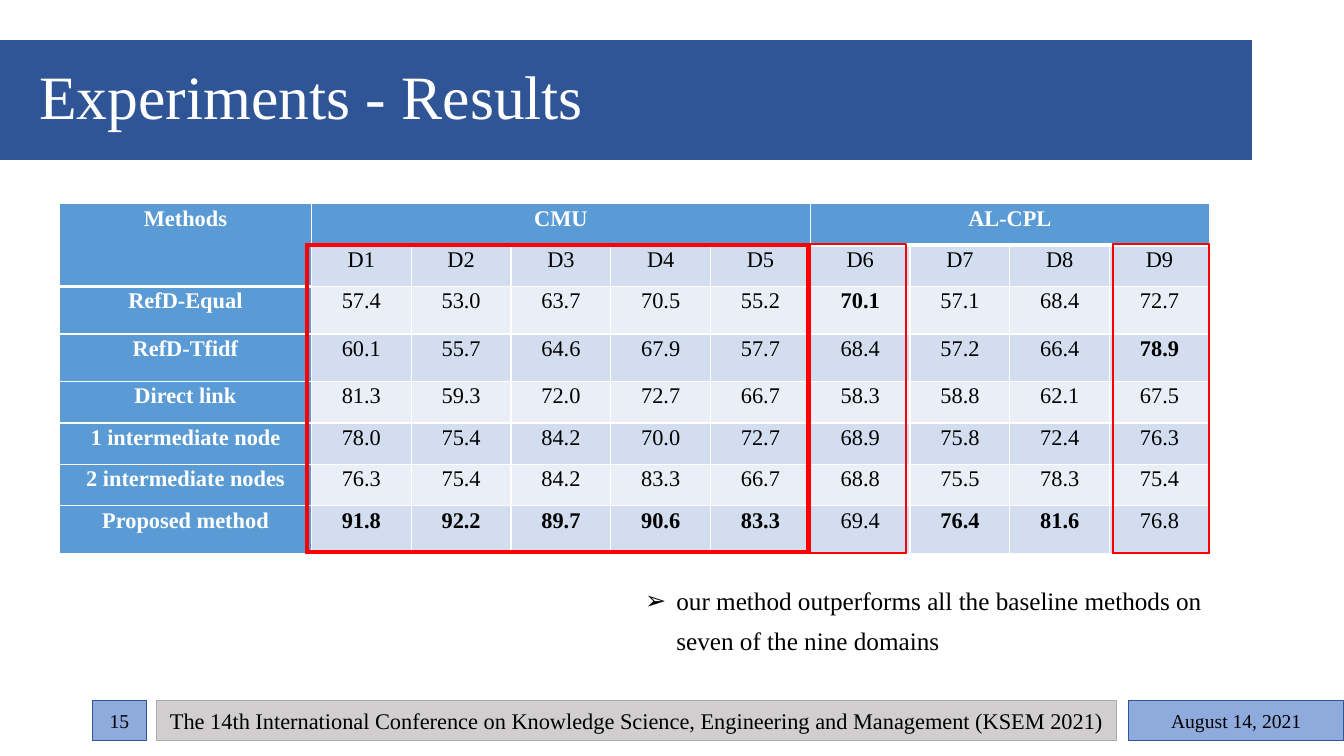
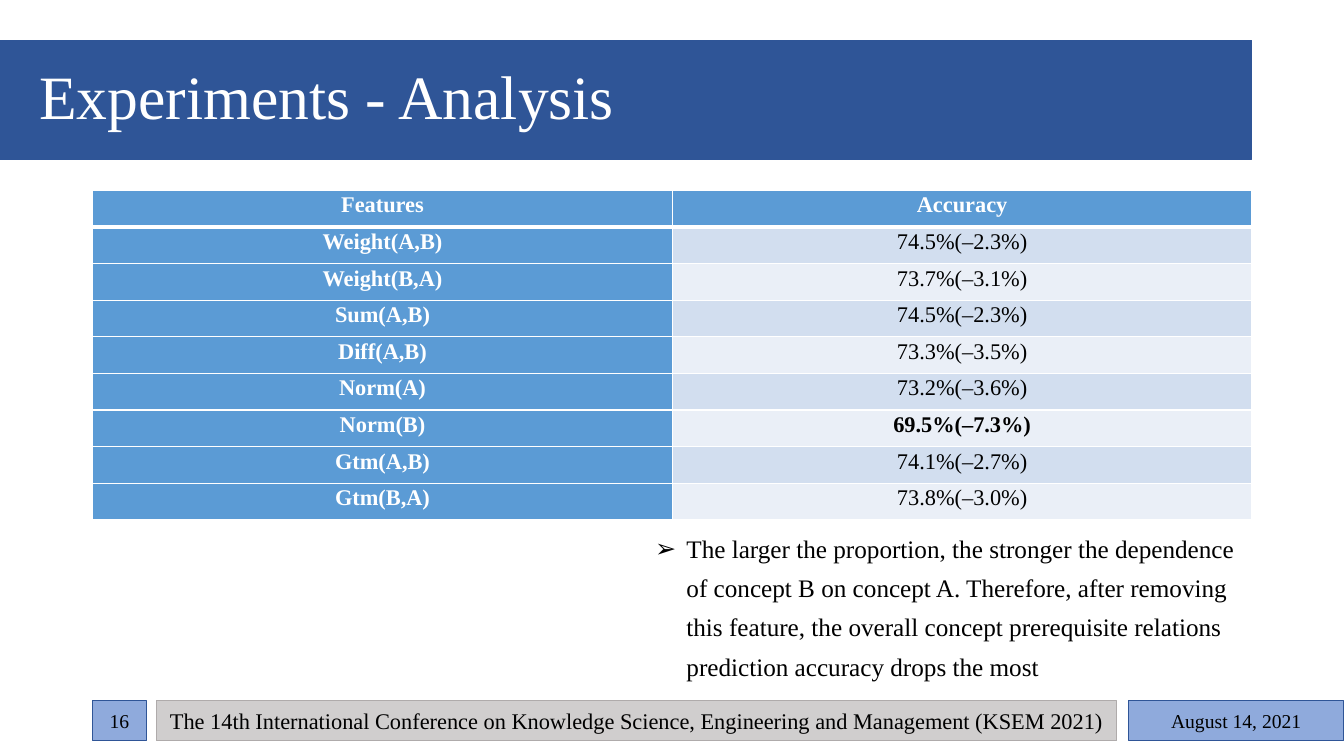
from lxml import etree
from pptx import Presentation
from pptx import util as u
from pptx.dml.color import RGBColor
from pptx.enum import shapes, text
from pptx.oxml import ns

PX = 9144
FONT = "Times New Roman"
NAVY, SKY, GREY, GREY_EDGE = "2F5597", "8FAADC", "D0CECE", "AFABAB"
HEAD, BANDS = "5B9BD5", ("EAEFF7", "D2DEEF")
RED, WHITE, BLACK = "FF0000", "FFFFFF", "000000"
LEFT, CENTER = text.PP_ALIGN.LEFT, text.PP_ALIGN.CENTER


def color(value):
    """Turn a hex string into a colour."""
    return RGBColor.from_string(value)


def px(*lengths):
    """Turn pixel lengths into EMU."""
    return [u.Emu(round(length * PX)) for length in lengths]


def add_node(parent, tag, **attributes):
    """Append an XML element in the drawing namespace."""
    return etree.SubElement(parent, ns.qn(tag), attributes)


class SlideBuilder:
    """Holds the deck style and the current slide."""

    def __init__(self):
        """Start a widescreen deck."""
        self.deck = Presentation()
        self.deck.slide_width, self.deck.slide_height = px(1333.33, 750)

    def new_slide(self, title, number):
        """Add a slide with its title band and footer."""
        self.slide = self.deck.slides.add_slide(self.deck.slide_layouts[1])
        band = self.slide.shapes.title
        self.place(band, 0, 40, 1242, 118)
        self.paint(band, NAVY, NAVY)
        band.text_frame.vertical_anchor = text.MSO_ANCHOR.MIDDLE
        para = self.add_text(band.text_frame, title, 44, WHITE, LEFT, 0.9)
        para._p.get_or_add_pPr().set("marL", str(px(29)[0]))
        self.footer(1120, 213, "August 14, 2021", 14, SKY, NAVY)
        self.footer(155, 953, "The 14th International Conference on Knowledge Science, "
                    "Engineering and Management (KSEM 2021)", 16, GREY, GREY_EDGE)
        self.footer(92, 53, str(number), 14, SKY, NAVY)

    def place(self, shape, *box):
        """Move and size a shape."""
        shape.left, shape.top, shape.width, shape.height = px(*box)

    def paint(self, shape, fill, line, width=0.75):
        """Set the fill and outline of a shape."""
        shape.fill.solid()
        shape.fill.fore_color.rgb = color(fill)
        shape.line.color.rgb = color(line)
        shape.line.width = u.Pt(width)

    def add_text(self, frame, words, size, ink, align, spacing=1.0, bold=False):
        """Put one styled paragraph into a text frame."""
        para = frame.paragraphs[0]
        para.alignment, para.line_spacing = align, spacing
        para.space_before = u.Pt(0)
        span = para.add_run()
        span.text = words
        span.font.name, span.font.size, span.font.bold = FONT, u.Pt(size), bold
        span.font.color.rgb = color(ink)
        return para

    def footer(self, left, width, words, size, fill, line):
        """Add one box of the footer strip."""
        box = self.slide.shapes.add_shape(shapes.MSO_SHAPE.RECTANGLE, *px(left, 695, width, 40))
        box.shadow.inherit = False
        self.paint(box, fill, line)
        box.text_frame.word_wrap = True
        box.text_frame.vertical_anchor = text.MSO_ANCHOR.MIDDLE
        self.add_text(box.text_frame, words, size, BLACK, CENTER)

    def frame(self, left, width):
        """Add a red frame around table columns."""
        box = self.slide.shapes.add_shape(shapes.MSO_SHAPE.FRAME, *px(left, 242, width, 307))
        box.shadow.inherit = False
        box.adjustments[0] = 0.009
        self.paint(box, RED, RED, 1)

    def note(self, words, *box):
        """Fill the body placeholder with one arrow bullet."""
        body = self.slide.placeholders[1]
        self.place(body, *box)
        body.text_frame.auto_size = text.MSO_AUTO_SIZE.NONE
        para = self.add_text(body.text_frame, words, 18, BLACK, LEFT, 1.3)
        properties = para._p.get_or_add_pPr()
        indent = px(31)[0]
        properties.set("marL", str(indent))
        properties.set("indent", str(-indent))
        add_node(properties, "a:buFont", typeface="Arial")
        add_node(properties, "a:buChar", char="➢")

    def table(self, box, rows, widths, heights, best, merges=(), headers=1):
        """Add a banded table with the best value of each column in bold."""
        grid = self.slide.shapes.add_table(len(rows), len(widths), *px(*box)).table
        grid.horz_banding = False
        for column, width in zip(grid.columns, widths):
            column.width = px(width * box[2] / sum(widths))[0]
        for line, height in zip(grid.rows, heights):
            line.height = px(height * box[3] / sum(heights))[0]
        for first, last in merges:
            grid.cell(*first).merge(grid.cell(*last))
        winners = [best(values) for values in zip(*rows[headers:])]
        for r, row in enumerate(rows):
            for c, words in enumerate(row):
                self.cell(grid, r, c, words, r >= headers and words == winners[c])

    def cell(self, grid, r, c, words, winner):
        """Style and fill one table cell."""
        cell = grid.cell(r, c)
        heading = r == 0 or c == 0
        cell.margin_left, cell.margin_top, cell.margin_right, cell.margin_bottom = px(7, 0, 7, 0)
        cell.fill.solid()
        cell.fill.fore_color.rgb = color(HEAD if heading else BANDS[r % 2])
        top = grid.cell(0, c)
        depth = top.span_height if top.is_merge_origin else 1
        widths = {"L": 1, "R": 1, "T": 3 if r == depth else 1, "B": 3 if r < depth else 1}
        properties = cell._tc.get_or_add_tcPr()
        for position, (side, width) in enumerate(widths.items()):
            edge = add_node(properties, f"a:ln{side}", w=str(u.Pt(width)))
            add_node(add_node(edge, "a:solidFill"), "a:srgbClr", val=WHITE)
            properties.insert(position, edge)
        if words:
            self.add_text(cell.text_frame, words, 16, WHITE if heading else BLACK,
                          CENTER, 1.1, heading or winner)


def results(builder):
    """Build the results slide."""
    builder.new_slide("Experiments - Results", 15)
    scores = """RefD-Equal|57.4|53.0|63.7|70.5|55.2|70.1|57.1|68.4|72.7
RefD-Tfidf|60.1|55.7|64.6|67.9|57.7|68.4|57.2|66.4|78.9
Direct link|81.3|59.3|72.0|72.7|66.7|58.3|58.8|62.1|67.5
1 intermediate node|78.0|75.4|84.2|70.0|72.7|68.9|75.8|72.4|76.3
2 intermediate nodes|76.3|75.4|84.2|83.3|66.7|68.8|75.5|78.3|75.4
Proposed method|91.8|92.2|89.7|90.6|83.3|69.4|76.4|81.6|76.8"""
    rows = [["Methods", "CMU", "", "", "", "", "AL-CPL", "", "", ""],
            [""] + [f"D{domain}" for domain in range(1, 10)]]
    rows += [line.split("|") for line in scores.splitlines()]
    builder.table((59, 202, 1141, 347), rows, [250] + [99] * 9,
                  [41, 41, 47, 47, 41, 41, 41, 47], max,
                  [((0, 0), (1, 0)), ((0, 1), (0, 5)), ((0, 6), (0, 9))], 2)
    for left, width in ((303, 500), (803, 96), (1104, 96)):
        builder.frame(left, width)
    builder.note("our method outperforms all the baseline methods on seven of the nine domains",
                 630, 567, 602, 85)


def analysis(builder):
    """Build the analysis slide."""
    builder.new_slide("Experiments - Analysis", 16)
    rows = [("Features", "Accuracy"),
            ("Weight(A,B)", "74.5%(–2.3%)"),
            ("Weight(B,A)", "73.7%(–3.1%)"),
            ("Sum(A,B)", "74.5%(–2.3%)"),
            ("Diff(A,B)", "73.3%(–3.5%)"),
            ("Norm(A)", "73.2%(–3.6%)"),
            ("Norm(B)", "69.5%(–7.3%)"),
            ("Gtm(A,B)", "74.1%(–2.7%)"),
            ("Gtm(B,A)", "73.8%(–3.0%)")]
    builder.table((92, 189, 1150, 327), rows, [1, 1], [1] * len(rows), min)
    builder.note("The larger the proportion, the stronger the dependence of concept B on "
                 "concept A. Therefore, after removing this feature, the overall concept "
                 "prerequisite relations prediction accuracy drops the most",
                 640, 515, 602, 203)


def main():
    """Build and save the deck."""
    builder = SlideBuilder()
    results(builder)
    analysis(builder)
    builder.deck.save("out.pptx")


if __name__ == "__main__":
    main()
